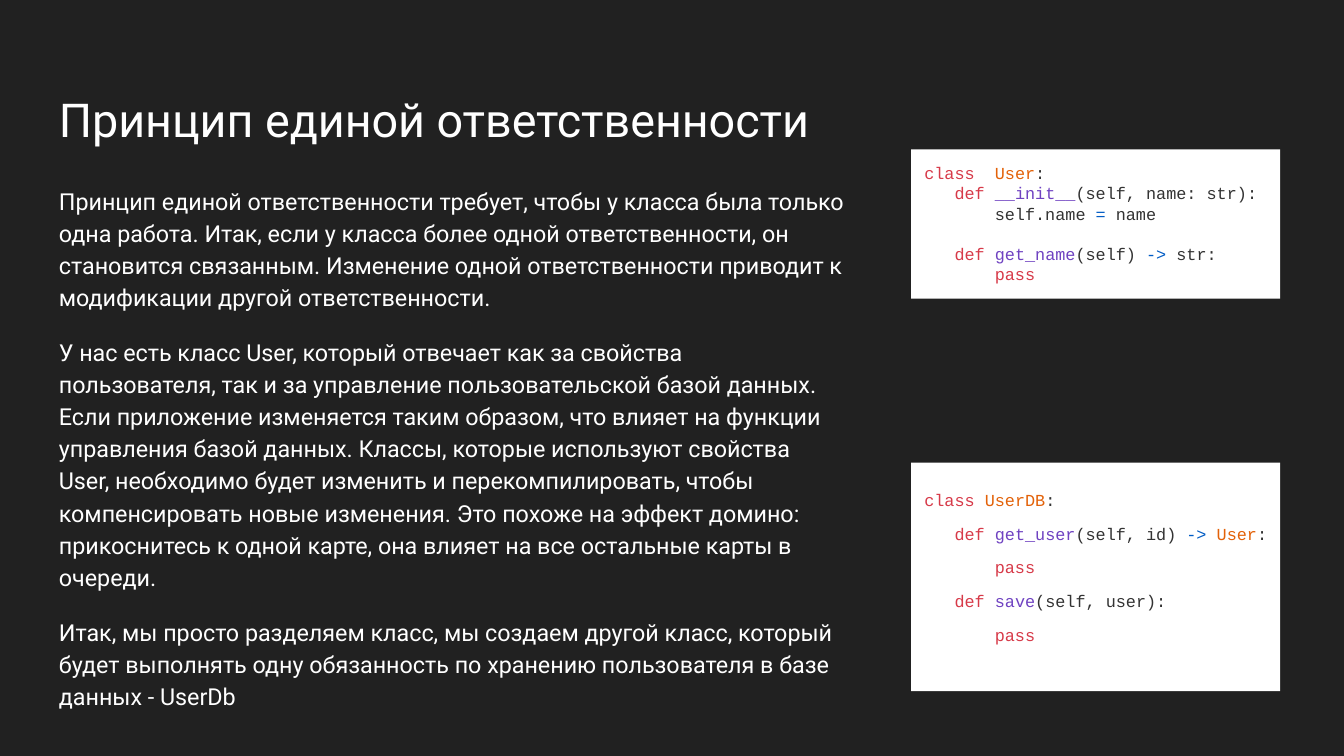
from dataclasses import dataclass
from typing import NamedTuple

from pptx import Presentation
from pptx.dml.color import RGBColor
from pptx.enum.shapes import MSO_SHAPE
from pptx.enum.text import MSO_ANCHOR, PP_ALIGN
from pptx.util import Pt

COLORS = {
    "background": "212121",
    "white": "FFFFFF",
    "keyword": "D73A49",
    "type": "E36209",
    "function": "6F42C1",
    "operator": "005CC5",
    "plain": "333333",
}
CODE_SIZE = 9
CHARACTER_WIDTH = 0.6 * CODE_SIZE
BLANK_LINE = 1.2 * CODE_SIZE
METHOD = 3 * CHARACTER_WIDTH
BODY = 7 * CHARACTER_WIDTH
INSET = 7.2


class Token(NamedTuple):
    text: str
    color: str = "plain"


@dataclass
class Line:
    tokens: list[Token]
    indent: float = 0
    before: float = 0
    after: float = 0


@dataclass
class Block:
    left: float
    top: float
    width: float
    height: float
    lines: list[Line]
    spacing: float = 1.0


def rgb(name: str) -> RGBColor:
    return RGBColor.from_string(COLORS[name])


def add_run(paragraph, text: str, *, font: str, size: float, color: str) -> None:
    run = paragraph.add_run()
    run.text = text
    run.font.name = font
    run.font.size = Pt(size)
    run.font.color.rgb = rgb(color)


def write_lines(shape, block: Block, font: str, size: float) -> None:
    frame = shape.text_frame
    frame.word_wrap = True
    frame.vertical_anchor = MSO_ANCHOR.TOP
    frame.margin_left = frame.margin_right = Pt(INSET)
    frame.margin_top = frame.margin_bottom = Pt(INSET)
    for index, line in enumerate(block.lines):
        paragraph = frame.add_paragraph() if index else frame.paragraphs[0]
        paragraph.alignment = PP_ALIGN.LEFT
        paragraph.line_spacing = block.spacing
        paragraph.space_before = Pt(line.before)
        paragraph.space_after = Pt(line.after)
        properties = paragraph._p.get_or_add_pPr()
        properties.set("marL", "0")
        properties.set("indent", str(Pt(line.indent)))
        for token in line.tokens:
            add_run(paragraph, token.text, font=font, size=size, color=token.color)


def add_prose(slide, block: Block, size: float) -> None:
    shape = slide.shapes.add_textbox(
        Pt(block.left), Pt(block.top), Pt(block.width), Pt(block.height)
    )
    write_lines(shape, block, "Roboto", size)


def add_code(slide, block: Block) -> None:
    shape = slide.shapes.add_shape(
        MSO_SHAPE.RECTANGLE,
        Pt(block.left), Pt(block.top), Pt(block.width), Pt(block.height),
    )
    shape.shadow.inherit = False
    shape.fill.solid()
    shape.fill.fore_color.rgb = rgb("white")
    shape.line.fill.background()
    write_lines(shape, block, "Courier New", CODE_SIZE)


def prose(text: str, before: float = 0, after: float = 0) -> Line:
    return Line([Token(text, "white")], before=before, after=after)


def method(name: str, *rest: Token, before: float = 0) -> Line:
    return Line([Token("def ", "keyword"), Token(name, "function"), *rest], METHOD, before)


PASS = Line([Token("pass", "keyword")], BODY)

TITLE = Block(24.5, 35.3, 671, 45.4, [prose("Принцип единой ответственности", after=4)], 1.2)

EXPLANATION = Block(24.5, 90.7, 434.9, 304.6, [
    prose(
        "Принцип единой ответственности требует, чтобы у класса была только одна работа. "
        "Итак, если у класса более одной ответственности, он становится связанным. "
        "Изменение одной ответственности приводит к модификации другой ответственности."
    ),
    prose(
        "У нас есть класс User, который отвечает как за свойства пользователя, так и за "
        "управление пользовательской базой данных. Если приложение изменяется таким образом, "
        "что влияет на функции управления базой данных. Классы, которые используют свойства "
        "User, необходимо будет изменить и перекомпилировать, чтобы компенсировать новые "
        "изменения. Это похоже на эффект домино: прикоснитесь к одной карте, она влияет на "
        "все остальные карты в очереди.",
        before=12,
    ),
    prose(
        "Итак, мы просто разделяем класс, мы создаем другой класс, который будет выполнять "
        "одну обязанность по хранению пользователя в базе данных - UserDb",
        before=12, after=12,
    ),
], 1.15)

USER_CLASS = Block(488.1, 80.1, 197.8, 80, [
    Line([Token("class  ", "keyword"), Token("User", "type"), Token(":")]),
    method("__init__", Token("(self, name: str):")),
    Line([Token("self.name "), Token("=", "operator"), Token(" name")], BODY),
    method("get_name", Token("(self) "), Token("->", "operator"), Token(" str:"),
           before=BLANK_LINE),
    PASS,
])

USER_DB_CLASS = Block(488.1, 247.9, 197.8, 122.4, [
    Line([Token("class ", "keyword"), Token("UserDB", "type"), Token(":")]),
    method("get_user", Token("(self, id) "), Token("-> ", "operator"),
           Token("User", "type"), Token(":")),
    PASS,
    method("save", Token("(self, user):")),
    PASS,
], 1.67)


def main() -> None:
    presentation = Presentation()
    presentation.slide_width = Pt(720)
    presentation.slide_height = Pt(405)
    slide = presentation.slides.add_slide(presentation.slide_layouts[6])
    slide.background.fill.solid()
    slide.background.fill.fore_color.rgb = rgb("background")
    add_prose(slide, TITLE, 25)
    add_prose(slide, EXPLANATION, 12.5)
    for block in (USER_CLASS, USER_DB_CLASS):
        add_code(slide, block)
    presentation.save("out.pptx")


if __name__ == "__main__":
    main()
